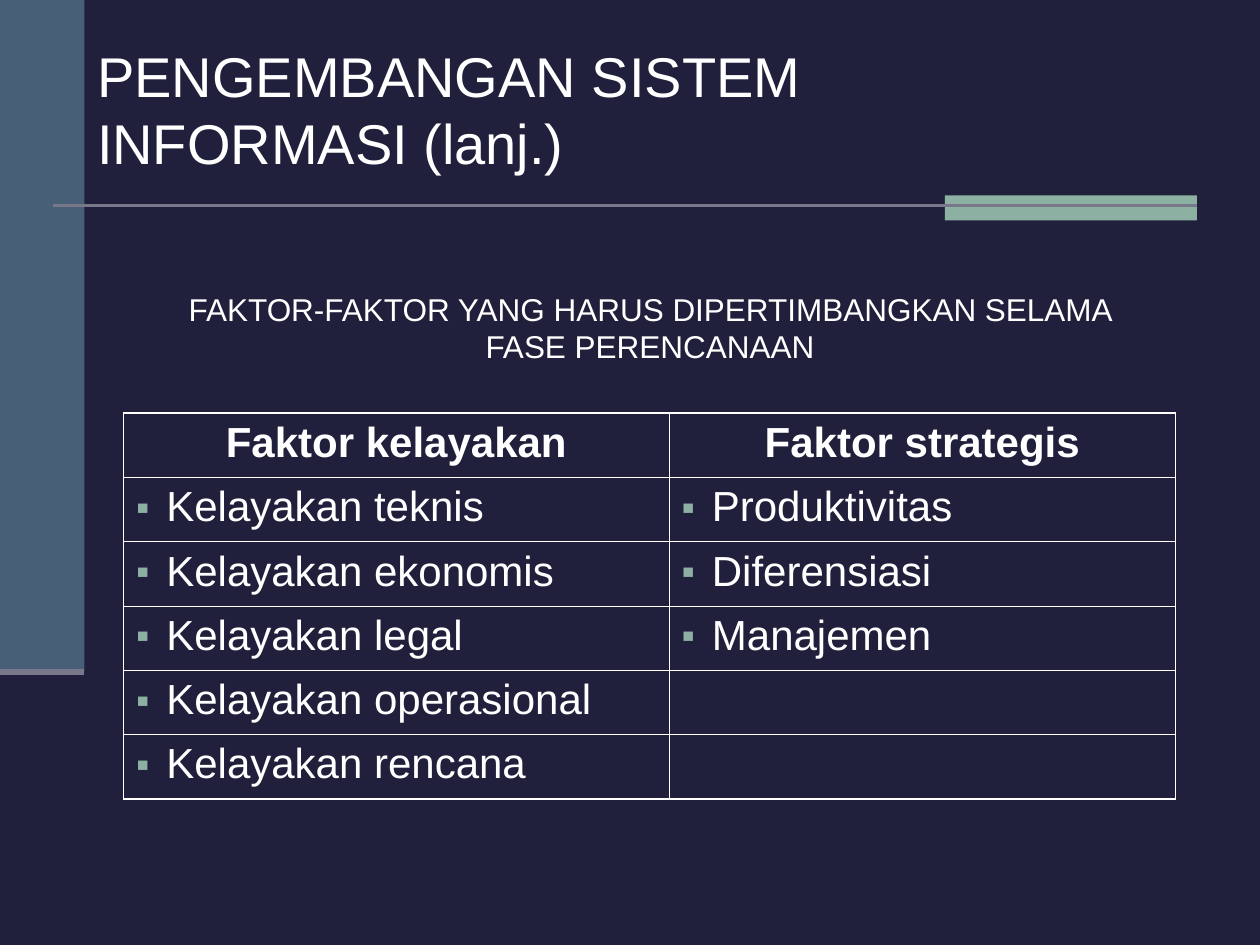
from lxml.etree import SubElement
from pptx import Presentation
from pptx.dml.color import RGBColor
from pptx.enum.shapes import MSO_CONNECTOR, MSO_SHAPE
from pptx.enum.text import MSO_ANCHOR, PP_ALIGN
from pptx.oxml.ns import qn
from pptx.util import Inches, Pt

BACKGROUND, WHITE = "21203C", "FFFFFF"
BLUE, GREEN, GREY = "476077", "8CB0A2", "79788A"
ROWS = [
    ("Faktor kelayakan", "Faktor strategis"),
    ("Kelayakan teknis", "Produktivitas"),
    ("Kelayakan ekonomis", "Diferensiasi"),
    ("Kelayakan legal", "Manajemen"),
    ("Kelayakan operasional", ""),
    ("Kelayakan rencana", ""),
]


def rgb(color):
    """Turn a hex string into a colour."""
    return RGBColor.from_string(color)


def style_paragraph(paragraph, size, alignment=PP_ALIGN.LEFT, bold=False):
    """Set alignment and font of a paragraph."""
    paragraph.alignment = alignment
    font = paragraph.font
    font.name, font.size, font.bold = "Arial", Pt(size), bold
    font.color.rgb = rgb(WHITE)


def add_block(slide, left, top, width, height, color):
    """Add a plain filled rectangle."""
    shape = slide.shapes.add_shape(MSO_SHAPE.RECTANGLE, Inches(left), Inches(top),
                                   Inches(width), Inches(height))
    shape.fill.solid()
    shape.fill.fore_color.rgb = rgb(color)
    shape.line.fill.background()
    shape.shadow.inherit = False


def add_rule(slide, left, right, top, weight):
    """Add a horizontal grey line."""
    line = slide.shapes.add_connector(MSO_CONNECTOR.STRAIGHT, Inches(left), Inches(top),
                                      Inches(right), Inches(top))
    line.line.color.rgb = rgb(GREY)
    line.line.width = Pt(weight)
    SubElement(line._element.spPr, qn("a:effectLst"))


def add_decoration(slide):
    """Add the side band, the accent block and their rules."""
    add_block(slide, 0, 0, 0.67, 5.33, BLUE)
    add_block(slide, 7.5, 1.55, 2, 0.2, GREEN)
    add_rule(slide, 0.42, 9.5, 1.63, 1.5)
    add_rule(slide, 0, 0.67, 5.33, 3.5)


def add_title(slide, left, top, width, height):
    """Place and format the title placeholder."""
    title = slide.shapes.title
    title.left, title.top = Inches(left), Inches(top)
    title.width, title.height = Inches(width), Inches(height)
    title.text = "PENGEMBANGAN SISTEM INFORMASI (lanj.)"
    title.text_frame.vertical_anchor = MSO_ANCHOR.TOP
    style_paragraph(title.text_frame.paragraphs[0], 32)


def add_subtitle(slide, left, top, width, height):
    """Add the centred heading above the table."""
    box = slide.shapes.add_textbox(Inches(left), Inches(top), Inches(width), Inches(height))
    box.text_frame.word_wrap = True
    paragraph = box.text_frame.paragraphs[0]
    paragraph.text = "FAKTOR-FAKTOR YANG HARUS DIPERTIMBANGKAN SELAMA FASE PERENCANAAN"
    style_paragraph(paragraph, 18, PP_ALIGN.CENTER)


def add_bullet(paragraph):
    """Give a paragraph a green square bullet with a hanging indent."""
    properties = paragraph._p.get_or_add_pPr()
    properties.set("marL", str(Inches(0.24)))
    properties.set("indent", str(-Inches(0.24)))
    bullet_color = SubElement(properties, qn("a:buClr"))
    SubElement(bullet_color, qn("a:srgbClr"), val=GREEN)
    SubElement(properties, qn("a:buSzPct"), val="90000")
    SubElement(properties, qn("a:buFont"), typeface="Arial")
    SubElement(properties, qn("a:buChar"), char="▪")


def set_borders(cell, outer_sides):
    """Draw white cell borders, heavier on the table's outer sides."""
    properties = cell._tc.get_or_add_tcPr()
    for side, outer in zip("LRTB", outer_sides):
        border = SubElement(properties, qn(f"a:ln{side}"), w=str(Pt(1.08 if outer else 0.45)))
        fill = SubElement(border, qn("a:solidFill"))
        SubElement(fill, qn("a:srgbClr"), val=WHITE)


def add_factor_table(slide, left, top, column_widths, row_height):
    """Add the table of feasibility and strategic factors."""
    last_row, last_column = len(ROWS) - 1, len(column_widths) - 1
    table = slide.shapes.add_table(len(ROWS), len(column_widths), Inches(left), Inches(top),
                                   Inches(sum(column_widths)),
                                   Inches(row_height * len(ROWS))).table
    table.first_row = table.horz_banding = False
    for column, width in zip(table.columns, column_widths):
        column.width = Inches(width)
    for row_index, texts in enumerate(ROWS):
        table.rows[row_index].height = Inches(row_height)
        for column_index, text in enumerate(texts):
            cell = table.cell(row_index, column_index)
            set_borders(cell, (column_index == 0, column_index == last_column,
                               row_index == 0, row_index == last_row))
            cell.fill.background()
            cell.text = text
            paragraph = cell.text_frame.paragraphs[0]
            paragraph.space_before = Pt(6)
            is_header = row_index == 0
            if text and not is_header:
                add_bullet(paragraph)
            style_paragraph(paragraph, 24, PP_ALIGN.CENTER if is_header else PP_ALIGN.LEFT,
                            is_header)


def main():
    """Build and save the slide."""
    presentation = Presentation()
    presentation.slide_width, presentation.slide_height = Inches(10), Inches(7.5)
    slide = presentation.slides.add_slide(presentation.slide_layouts[5])
    slide.background.fill.solid()
    slide.background.fill.fore_color.rgb = rgb(BACKGROUND)
    add_decoration(slide)
    add_factor_table(slide, 0.98, 3.28, (4.33, 4.02), 0.51)
    add_subtitle(slide, 1.38, 2.25, 7.56, 0.7)
    add_title(slide, 0.67, 0.28, 8.29, 1.17)
    presentation.save("out.pptx")


if __name__ == "__main__":
    main()
